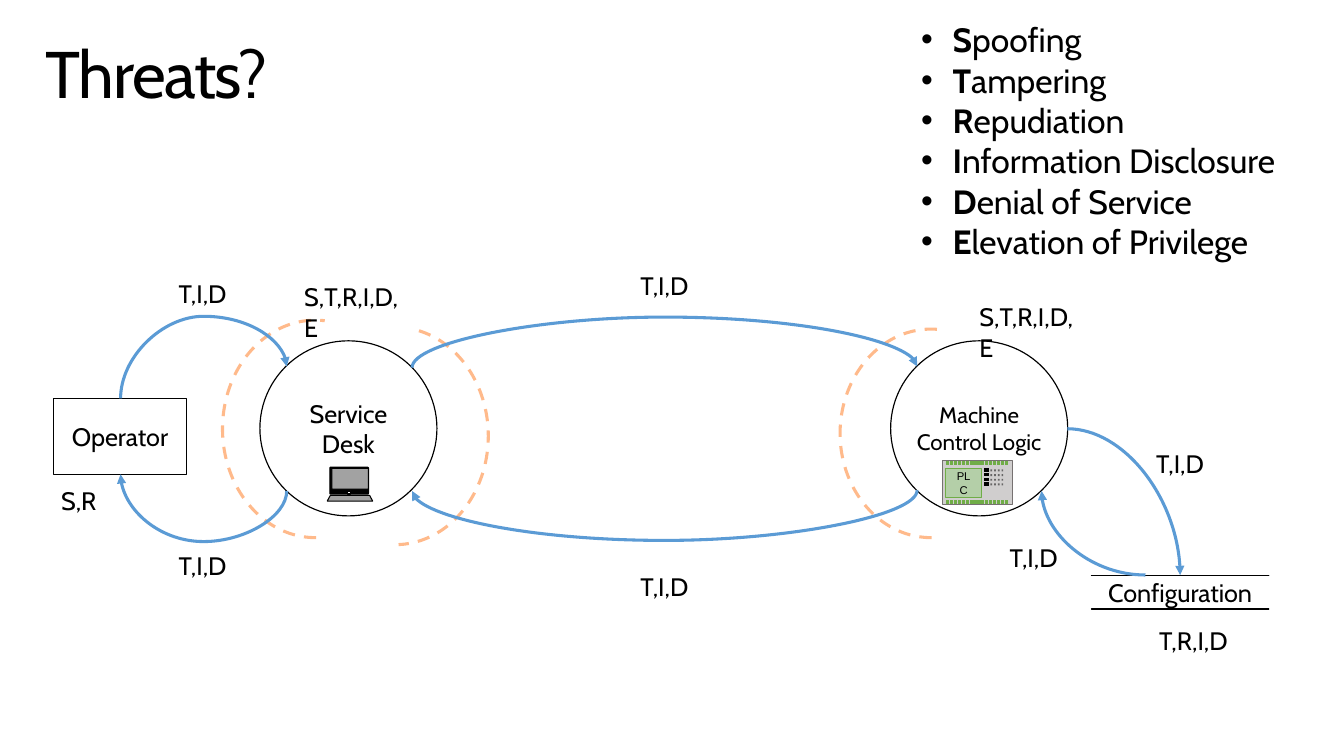
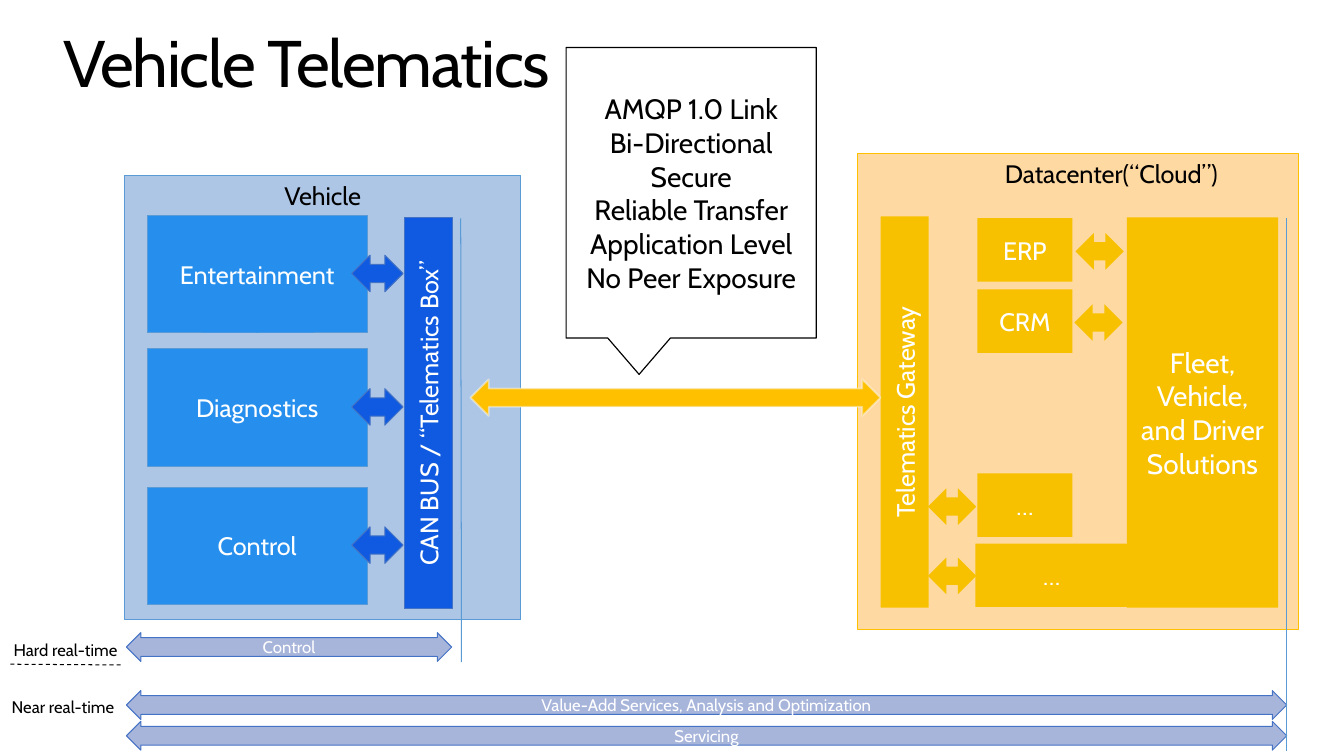
"""Builds two slides: a STRIDE threat diagram and a vehicle telematics architecture."""
from lxml.etree import SubElement
from pptx import Presentation
from pptx.dml.color import RGBColor
from pptx.enum.dml import MSO_LINE
from pptx.enum.shapes import MSO_CONNECTOR, MSO_SHAPE
from pptx.enum.text import MSO_ANCHOR, MSO_AUTO_SIZE, PP_ALIGN
from pptx.oxml.ns import qn
from pptx.util import Cm, Pt

FONT = "Cabin"
BLACK, WHITE = "000000", "FFFFFF"
FLOW, BOUNDARY = "5B9BD5", "FF7619"
GREY, GREEN = "A2A2A2", "70AD47"
ITEM, BUS, BUS_EDGE = "268FEE", "0F5AE0", "4472C4"
GOLD, LINK, BAR = "F7C100", "FFC000", "A8B5DB"

STRIDE = ["Spoofing", "Tampering", "Repudiation", "Information Disclosure",
          "Denial of Service", "Elevation of Privilege"]
PROCESSES = [("Service Desk", 6.68, 18.4), ("Machine Control Logic", 22.89, 16.3)]
BOUNDARIES = [((5.72, 8.23, 4.78, 5.59), (53.78, 164.93)),
              ((21.59, 8.46, 4.67, 5.36), (53.78, 164.93)),
              ((7.77, 8.41, 4.78, 5.59), (169.61, 52.96))]
CORNER_FLOWS = [((27.43, 11.02), (30.33, 14.78)),
                ((29.44, 14.78), (26.77, 12.62))]
ARCHED_FLOWS = [((23.57, 12.6), (10.59, 12.62), 13.89),
                ((10.59, 9.45), (23.57, 9.42), 8.15),
                ((3.1, 10.24), (7.37, 9.42), 8.13),
                ((7.37, 12.62), (3.1, 12.19), 13.92)]
THREATS = {
    "S,R": (1.42, [(1.32, 12.34)]),
    "T,I,D": (1.78, [(4.34, 14.02), (4.34, 7.01), (16.21, 6.81),
                     (16.21, 14.55), (29.46, 11.4), (25.7, 13.82)]),
    "S,T,R,I,D,E": (3.1, [(24.92, 7.62), (7.57, 7.11)]),
    "T,R,I,D": (2.31, [(29.54, 15.95)]),
}
LAPTOP = [(MSO_SHAPE.ROUNDED_RECTANGLE, (8.48, 12.01, 0.99, 0.69), BLACK, 0.85, [0.03]),
          (MSO_SHAPE.RECTANGLE, (8.94, 12.62, 0.08, 0.08), WHITE, 0.85, []),
          (MSO_SHAPE.ROUNDED_RECTANGLE, (8.53, 12.04, 0.94, 0.53), GREY, 0.75, [0.03]),
          (MSO_SHAPE.TRAPEZOID, (8.41, 12.73, 1.17, 0.15), GREY, 0.75, [0.54])]

VEHICLE_ITEMS = [("Entertainment", 5.54), ("Diagnostics", 8.97), ("Control", 12.52)]
CLOUD_ITEMS = [("ERP", (25.12, 5.61, 2.44, 1.63)), ("CRM", (25.12, 7.44, 2.44, 1.63)),
               ("…", (25.12, 12.17, 2.44, 1.63)), ("…", (25.07, 13.97, 3.91, 1.63))]
CLOUD_ARROWS = [(23.85, 12.55), (23.85, 14.33), (27.64, 5.99), (27.61, 7.82)]
TIME_BARS = [("Control", 16.26, 8.36),
             ("Value-Add Services, Analysis and Optimization", 17.75, 29.82),
             ("Servicing", 18.54, 29.82)]
TIME_LABELS = [("Hard real-time", 0.1, 16.31), ("Near real-time", 0.05, 17.78)]
LINK_FACTS = ["AMQP 1.0 Link\nBi-Directional\nSecure",
              "Reliable Transfer\nApplication Level", "No Peer Exposure"]


def rgb(color):
    """Turn a hex string into a colour."""
    return RGBColor.from_string(color)


def write(tf, paras, size=18.4, color=BLACK, align=PP_ALIGN.LEFT, font=FONT,
          anchor=MSO_ANCHOR.MIDDLE, wrap=True, insets=(0.25, 0.13, 0.25, 0.13),
          bullets=False, spacing=None, track=None):
    """Write paragraphs into a text frame; bullets get a bold initial."""
    tf.word_wrap, tf.auto_size, tf.vertical_anchor = wrap, MSO_AUTO_SIZE.NONE, anchor
    tf.margin_left, tf.margin_top, tf.margin_right, tf.margin_bottom = map(Cm, insets)
    for i, text in enumerate(paras):
        p = tf.paragraphs[0] if i == 0 else tf.add_paragraph()
        p.alignment, p.line_spacing, p.space_before = align, spacing, Pt(0)
        if bullets:
            pPr = p._p.get_or_add_pPr()
            pPr.set("marL", str(Cm(0.81)))
            pPr.set("indent", str(-Cm(0.81)))
            SubElement(pPr, qn("a:buFont")).set("typeface", "Arial")
            SubElement(pPr, qn("a:buChar")).set("char", "•")
            for part in (text[0], text[1:]):
                p.add_run().text = part
            p.runs[0].font.bold = True
        else:
            p.text = text
        for r in p.runs:
            r.font.name, r.font.size, r.font.color.rgb = font, Pt(size), rgb(color)
            if track:
                r._r.get_or_add_rPr().set("spc", str(track))


def stroke(line, color, width, dash=None, alpha=None):
    """Format a line, with optional dash and opacity in percent."""
    line.color.rgb, line.width = rgb(color), Pt(width)
    if dash:
        line.dash_style = dash
    if alpha:
        clr = line._ln.find(qn("a:solidFill")).find(qn("a:srgbClr"))
        SubElement(clr, qn("a:alpha")).set("val", str(alpha * 1000))


def shape(shapes, kind, box, fill=None, edge=None, width=0.75, adj=(), text=None,
          dash=None, alpha=None, vert=False, **fmt):
    """Add a preset shape with fill, outline and centred text."""
    sp = shapes.add_shape(kind, *map(Cm, box))
    sp.shadow.inherit = False
    for i, value in enumerate(adj):
        sp.adjustments[i] = value
    if fill:
        sp.fill.solid()
        sp.fill.fore_color.rgb = rgb(fill)
    else:
        sp.fill.background()
    if edge:
        stroke(sp.line, edge, width, dash, alpha)
    else:
        sp.line.fill.background()
    if text:
        paras = [text] if isinstance(text, str) else text
        write(sp.text_frame, paras, **{"align": PP_ALIGN.CENTER, **fmt})
    if vert:
        sp.text_frame._txBody.bodyPr.set("vert", "vert270")
    return sp


def label(shapes, text, box, **fmt):
    """Add a free text label."""
    write(shapes.add_textbox(*map(Cm, box)).text_frame, [text],
          anchor=MSO_ANCHOR.TOP, **fmt)


def connector(shapes, start, end, color, width=0.75, kind=MSO_CONNECTOR.STRAIGHT,
              arrow=False, **style):
    """Add a connector without shadow, optionally with an arrowhead."""
    cx = shapes.add_connector(kind, *map(Cm, start + end))
    stroke(cx.line, color, width, **style)
    if arrow:
        SubElement(cx.line._ln, qn("a:tailEnd")).set("type", "triangle")
    SubElement(cx._element.spPr, qn("a:effectLst"))
    return cx


def flow(shapes, start, end, peak=None):
    """Add a curved arrow that turns one corner, or arches over height peak."""
    cx = connector(shapes, start, end, FLOW, 2.25, MSO_CONNECTOR.CURVE, arrow=True)
    spPr = cx._element.spPr
    geom = spPr.find(qn("a:prstGeom"))
    if peak is None:
        geom.set("prst", "curvedConnector2")
        return
    (x1, y1), (x2, y2) = start, end
    w, h = abs(y2 - y1), abs(x2 - x1)
    cx.left, cx.top = Cm((x1 + x2 - w) / 2), Cm((y1 + y2 - h) / 2)
    cx.width, cx.height = Cm(w), Cm(h)
    xfrm = spPr.find(qn("a:xfrm"))
    xfrm.set("rot", "5400000")
    xfrm.set("flipH", str(int(y2 < y1)))
    xfrm.set("flipV", str(int(x1 < x2)))
    gd = SubElement(geom.find(qn("a:avLst")), qn("a:gd"))
    gd.set("name", "adj1")
    gd.set("fmla", f"val {round((peak - y1) / (y2 - y1) * 100000)}")


def place(sp, box):
    """Move and size a placeholder."""
    sp.left, sp.top, sp.width, sp.height = map(Cm, box)


def new_slide(prs, layout, title, box):
    """Add a slide with the shared title style."""
    s = prs.slides.add_slide(prs.slide_layouts[layout])
    place(s.shapes.title, box)
    write(s.shapes.title.text_frame, [title], size=48, anchor=MSO_ANCHOR.TOP,
          insets=(0.41, 0.25, 0.41, 0.25), spacing=0.9, track=-100)
    return s


def draw_plc(shapes):
    """Draw the controller board."""
    kind = MSO_SHAPE.FLOWCHART_PROCESS
    shape(shapes, kind, (24.23, 11.84, 1.78, 1.12), "D0CECE", "767171")
    for y in (11.84, 12.85):
        for i in range(16):
            shape(shapes, kind, (24.31 + i * 1.52 / 15, y, 0.08, 0.1), GREEN)
    shape(shapes, kind, (24.31, 12.04, 0.91, 0.74), "B4CFA8", GREEN,
          text="PLC", size=8.2, font="Arial")
    for i in range(4):
        y = 12.04 + i * 0.12
        shape(shapes, kind, (25.3, y, 0.13, 0.08), BLACK)
        connector(shapes, (25.45, y + 0.05), (25.78, y + 0.05), BLACK, 1.35,
                  dash=MSO_LINE.ROUND_DOT, alpha=50)


def threats_slide(prs):
    """Build the threat diagram."""
    s = new_slide(prs, 1, "Threats?", (0.76, 0.81, 33.02, 2.54))
    shapes = s.shapes
    body = s.placeholders[1]
    place(body, (23.42, 0.36, 10.26, 6.65))
    write(body.text_frame, STRIDE, size=24.5, anchor=MSO_ANCHOR.TOP, bullets=True)
    for text, x, size in PROCESSES:
        shape(shapes, MSO_SHAPE.OVAL, (x, 8.76, 4.55, 4.5), WHITE, BLACK, 0.85,
              text=text, size=size, insets=(0, 0, 0, 0))
    shape(shapes, MSO_SHAPE.RECTANGLE, (1.37, 10.24, 3.43, 1.96), WHITE, BLACK, 0.85,
          text="Operator")
    shape(shapes, MSO_SHAPE.MATH_EQUAL, (27.23, 14.05, 6.2, 2.34), BLACK, BLACK, 0.85,
          adj=(0, 0.37), text="Configuration")
    for box, angles in BOUNDARIES:
        shape(shapes, MSO_SHAPE.ARC, box, edge=BOUNDARY, width=2.25, adj=angles,
              dash=MSO_LINE.DASH, alpha=50)
    for ends in CORNER_FLOWS + ARCHED_FLOWS:
        flow(shapes, *ends)
    for text, (w, spots) in THREATS.items():
        for x, y in spots:
            label(shapes, text, (x, y, w, 1.07), wrap=w > 3)
    laptop = shapes.add_group_shape().shapes
    for kind, box, fill, width, adj in LAPTOP:
        shape(laptop, kind, box, fill, BLACK, width, adj)
    draw_plc(shapes.add_group_shape().shapes)


def telematics_slide(prs):
    """Build the telematics architecture."""
    s = new_slide(prs, 5, "Vehicle Telematics", (1.22, 0.53, 29.79, 3.76))
    shapes = s.shapes
    rect, arrow = MSO_SHAPE.RECTANGLE, MSO_SHAPE.LEFT_RIGHT_ARROW
    shape(shapes, rect, (22.05, 3.94, 11.33, 12.24), "FFD9A2", LINK,
          text="Datacenter(“Cloud”)", align=PP_ALIGN.RIGHT, anchor=MSO_ANCHOR.TOP,
          insets=(0.25, 0.13, 2.08, 0.13))
    shape(shapes, rect, (3.2, 4.5, 10.19, 11.43), "ADC6E5", FLOW,
          text="Vehicle", anchor=MSO_ANCHOR.TOP)
    for text, y in VEHICLE_ITEMS:
        shape(shapes, rect, (3.78, y, 5.66, 3.02), ITEM, FLOW, text=text, color=WHITE)
    shape(shapes, rect, (10.39, 5.59, 1.24, 10.06), BUS, BUS_EDGE, vert=True,
          text="CAN BUS / “Telematics Box”", color=WHITE)
    for _, y in VEHICLE_ITEMS:
        shape(shapes, arrow, (9.04, y + 1.02, 1.32, 0.94), BUS, BUS_EDGE)
    shape(shapes, rect, (22.63, 5.56, 1.24, 10.06), GOLD, vert=True,
          text="Telematics Gateway", color=WHITE)
    for text, box in CLOUD_ITEMS:
        shape(shapes, rect, box, GOLD, text=text, color=WHITE)
    shape(shapes, rect, (28.96, 5.59, 3.89, 10.03), GOLD, color=WHITE, size=20.4,
          text="Fleet, Vehicle, and Driver Solutions")
    for x, y in CLOUD_ARROWS:
        shape(shapes, arrow, (x, y, 1.24, 0.94), GOLD)
    shape(shapes, arrow, (12.09, 9.75, 10.54, 0.94), LINK, "F9F9F9", 1.35, alpha=50)
    for text, y, w in TIME_BARS:
        shape(shapes, arrow, (3.25, y, w, 0.74), BAR, BUS_EDGE, adj=(0.65, 0.5),
              text=text, size=12.2, color=WHITE)
    connector(shapes, (33.07, 5.59), (33.07, 19.3), FLOW)
    connector(shapes, (11.84, 5.61), (11.86, 17.02), FLOW)
    for text, x, y in TIME_LABELS:
        label(shapes, text, (x, y, 3.38, 0.79), size=12.2, wrap=False)
    connector(shapes, (3.1, 17.09), (0.2, 17.07), BLACK, dash=MSO_LINE.DASH)
    shape(shapes, MSO_SHAPE.RECTANGULAR_CALLOUT, (14.55, 1.22, 6.43, 7.47), WHITE, BLACK,
          0.85, text=LINK_FACTS, size=20.4, insets=(0, 0, 0, 0))


def main():
    """Build and save the presentation."""
    prs = Presentation()
    prs.slide_width, prs.slide_height = Cm(34.54), Cm(19.43)
    threats_slide(prs)
    telematics_slide(prs)
    prs.save("out.pptx")


if __name__ == "__main__":
    main()
